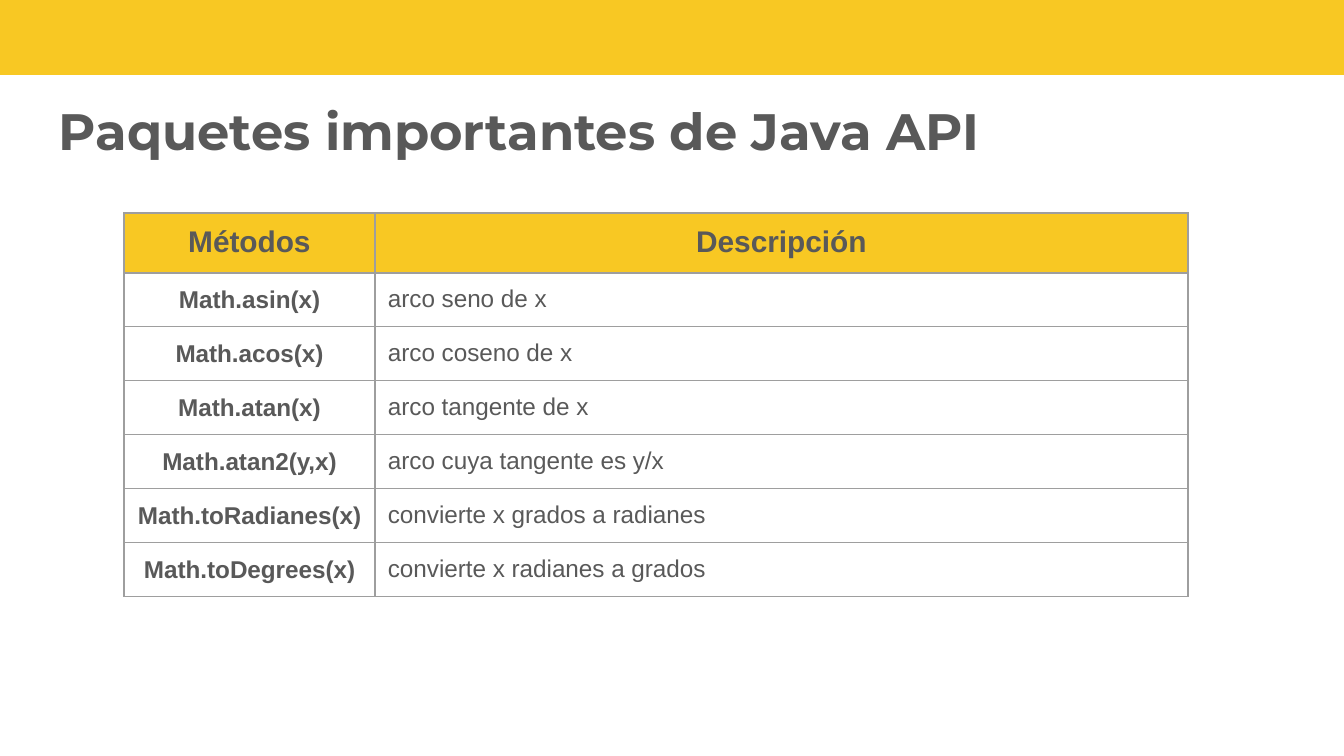
from pptx import Presentation
from pptx.dml.color import RGBColor
from pptx.enum.shapes import MSO_SHAPE
from pptx.enum.text import MSO_ANCHOR, MSO_AUTO_SIZE, PP_ALIGN
from pptx.oxml.ns import qn
from pptx.util import Emu, Pt
from lxml import etree

RECT = MSO_SHAPE.RECTANGLE
TOP, MIDDLE = MSO_ANCHOR.TOP, MSO_ANCHOR.MIDDLE
NO_AUTOFIT = MSO_AUTO_SIZE.NONE
LEFT, CENTER = PP_ALIGN.LEFT, PP_ALIGN.CENTER

METHODS = [
    ("Math.asin(x)", "arco seno de x"),
    ("Math.acos(x)", "arco coseno de x"),
    ("Math.atan(x)", "arco tangente de x"),
    ("Math.atan2(y,x)", "arco cuya tangente es y/x"),
    ("Math.toRadianes(x)", "convierte x grados a radianes"),
    ("Math.toDegrees(x)", "convierte x radianes a grados"),
]


def px(n):
    return Emu(round(n * 914400 / 134.4))


def rgb(value):
    return RGBColor.from_string(value)


class Deck:
    """Holds the style and the current slide, and draws each kind of element."""

    yellow, gray, border = "F8C823", "595959", "9E9E9E"
    heading_font, body_font = "Montserrat", "Arial"
    inset = 13

    def __init__(self, prs):
        self.s = prs.slides.add_slide(prs.slide_layouts[5])

    def run(self, p, text, size, font, bold, align):
        p.alignment = align
        r = p.add_run()
        r.text = text
        r.font.size = Pt(size)
        r.font.name = font
        r.font.bold = bold
        r.font.color.rgb = rgb(self.gray)

    def pad(self, box):
        box.margin_left = box.margin_right = px(self.inset)
        box.margin_top = box.margin_bottom = px(self.inset)

    def band(self, x, y, w, h):
        sp = self.s.shapes.add_shape(RECT, px(x), px(y), px(w), px(h))
        sp.shadow.inherit = False
        sp.fill.solid()
        sp.fill.fore_color.rgb = rgb(self.yellow)
        sp.line.fill.background()

    def title(self, text, x, y, w, h):
        sp = self.s.shapes.title
        sp.left, sp.top, sp.width, sp.height = px(x), px(y), px(w), px(h)
        tf = sp.text_frame
        tf.word_wrap = True
        tf.auto_size = NO_AUTOFIT
        tf.vertical_anchor = MIDDLE
        self.pad(tf)
        self.run(tf.paragraphs[0], text, 27.4, self.heading_font, True, LEFT)

    def outline(self, cell):
        tcPr = cell._tc.get_or_add_tcPr()
        for i, side in enumerate(("a:lnL", "a:lnR", "a:lnT", "a:lnB")):
            ln = etree.Element(qn(side), w=str(Pt(0.75)))
            fill = etree.SubElement(ln, qn("a:solidFill"))
            etree.SubElement(fill, qn("a:srgbClr"), val=self.border)
            tcPr.insert(i, ln)

    def cell(self, cell, text, size, bold, align, anchor, fill=None):
        self.pad(cell)
        cell.vertical_anchor = anchor
        if fill:
            cell.fill.solid()
            cell.fill.fore_color.rgb = rgb(fill)
        else:
            cell.fill.background()
        self.outline(cell)
        p = cell.text_frame.paragraphs[0]
        self.run(p, text, size, self.body_font, bold, align)

    def table(self, x, y, widths, head_h, row_h, header, rows):
        heights = [head_h] + [row_h] * len(rows)
        frame = self.s.shapes.add_table(len(heights), len(widths), px(x), px(y),
                                        px(sum(widths)), px(sum(heights)))
        table = frame.table
        table.first_row = table.horz_banding = False
        for column, w in zip(table.columns, widths):
            column.width = px(w)
        for row, h in zip(table.rows, heights):
            row.height = px(h)
        for c, text in enumerate(header):
            self.cell(table.cell(0, c), text, 16, True, CENTER, TOP, self.yellow)
        for i, (method, description) in enumerate(rows, 1):
            self.cell(table.cell(i, 0), method, 13, True, CENTER, MIDDLE)
            self.cell(table.cell(i, 1), description, 13, False, LEFT, TOP)


def main():
    prs = Presentation()
    prs.slide_width, prs.slide_height = px(1344), px(756)
    deck = Deck(prs)
    deck.band(-2, -7, 1348, 82)
    deck.title("Paquetes importantes de Java API", 46, 88, 1250, 84)
    deck.table(124, 213, (251, 813), 60, 54, ("Métodos", "Descripción"), METHODS)
    prs.save("out.pptx")


if __name__ == "__main__":
    main()
